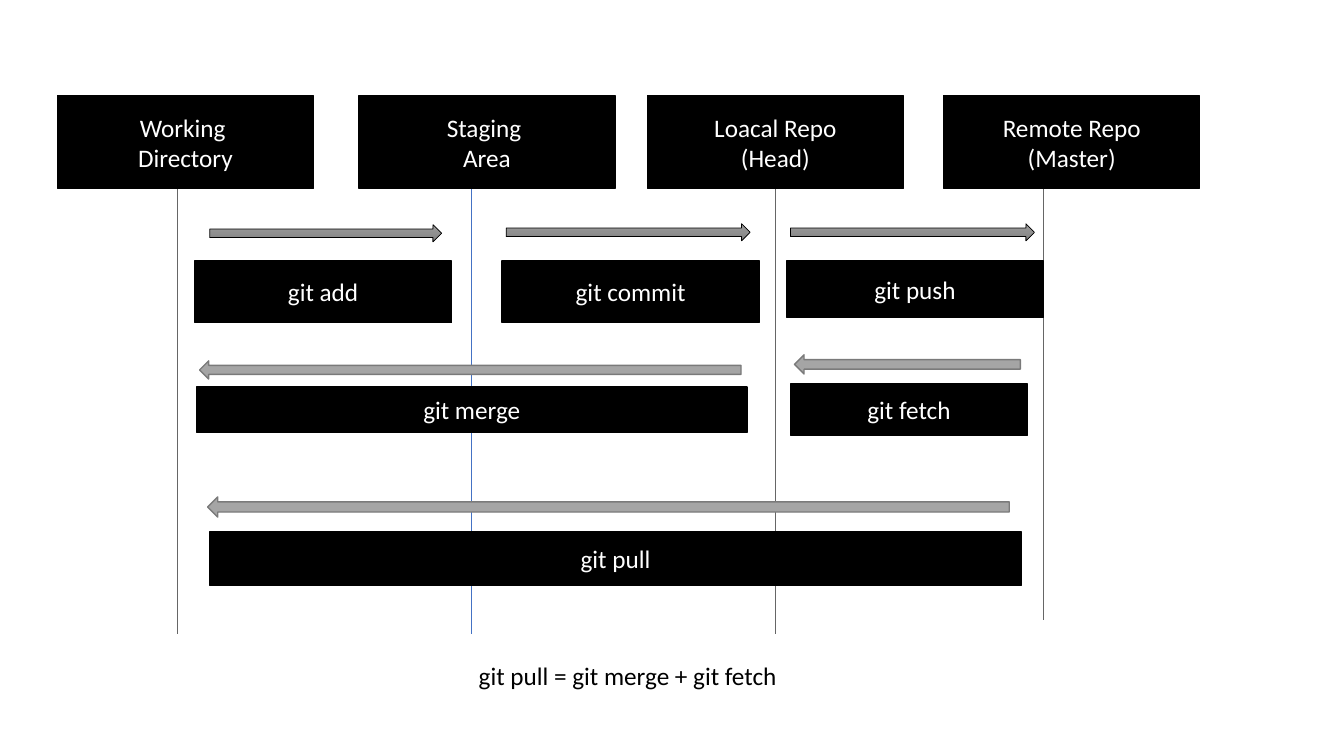
from copy import deepcopy
from dataclasses import dataclass

from lxml.etree import SubElement
from pptx import Presentation
from pptx.dml.color import RGBColor
from pptx.enum.shapes import MSO_CONNECTOR as Connector, MSO_SHAPE as Preset
from pptx.enum.text import MSO_ANCHOR as Anchor, MSO_AUTO_SIZE as AutoSize, PP_ALIGN as Align
from pptx.oxml.ns import qn
from pptx.util import Inches, Pt


@dataclass(frozen=True)
class Theme:
    """Colours, font and sizes of the slide."""
    black: str = "000000"
    white: str = "FFFFFF"
    blue: str = "4472C4"
    line_gray: str = "666666"
    arrow_gray: str = "A5A5A5"
    arrow_edge: str = "7A7A7A"
    gradient: tuple[str, ...] = ("9D9D9D", "909090", "7C7C7C")
    font: str = "Calibri"
    text_size: float = 18
    thin: float = 0.5
    thick: float = 1


@dataclass(frozen=True)
class Lifeline:
    """Vertical line below a stage."""
    x: float
    top: float
    color: str


@dataclass(frozen=True)
class Area:
    """Position and size in inches."""
    left: float
    top: float
    width: float
    height: float

    def lengths(self) -> list[Inches]:
        """Return the four values as lengths."""
        return [Inches(v) for v in (self.left, self.top, self.width, self.height)]


@dataclass(frozen=True)
class Block:
    """Black box with one paragraph per line of text."""
    text: str
    area: Area
    preset: Preset = Preset.FLOWCHART_PROCESS


@dataclass(frozen=True)
class Arrow:
    """Block arrow showing where a command moves the changes."""
    area: Area
    forward: bool


THEME = Theme()
LIFELINE_LENGTH = 4.42
STAGE_TOP, STAGE_WIDTH, STAGE_HEIGHT = 0.95, 2.54, 0.92

LIFELINES = [
    Lifeline(1.76, 1.87, THEME.line_gray),
    Lifeline(7.69, 1.87, THEME.line_gray),
    Lifeline(10.35, 1.73, THEME.line_gray),
    Lifeline(4.68, 1.87, THEME.blue),
]
STAGES = [
    Block(text, Area(left, STAGE_TOP, STAGE_WIDTH, STAGE_HEIGHT), Preset.RECTANGLE)
    for text, left in [
        ("Working \nDirectory", 0.57),
        ("Staging \nArea", 3.56),
        ("Remote Repo\n(Master)", 9.36),
        ("Loacal Repo\n(Head)", 6.42),
    ]
]
COMMANDS = [
    Block("git add", Area(1.93, 2.59, 2.55, 0.61)),
    Block("git commit", Area(4.98, 2.59, 2.55, 0.61)),
    Block("git push", Area(7.8, 2.59, 2.55, 0.56)),
    Block("git fetch", Area(7.84, 3.81, 2.35, 0.51)),
    Block("git merge", Area(1.95, 3.84, 5.46, 0.45)),
    Block("git pull", Area(2.08, 5.28, 8.05, 0.53)),
]
ARROWS = [
    Arrow(Area(2.08, 2.23, 2.3, 0.17), True),
    Arrow(Area(5.02, 2.22, 2.42, 0.17), True),
    Arrow(Area(7.84, 2.22, 2.42, 0.17), True),
    Arrow(Area(7.88, 3.52, 2.24, 0.19), False),
    Arrow(Area(1.98, 3.58, 5.37, 0.18), False),
    Arrow(Area(2.06, 4.93, 7.95, 0.2), False),
]


def rgb(color: str) -> RGBColor:
    """Convert a hex string to a colour."""
    return RGBColor.from_string(color)


def set_line(line, color: str, width: float) -> None:
    """Set the colour and width of a line."""
    line.color.rgb = rgb(color)
    line.width = Pt(width)


def write(box, text: str, color: str, align: Align) -> None:
    """Fill a box with one paragraph per line of text."""
    box.text_frame.text = text
    formats = {"name": THEME.font, "size": Pt(THEME.text_size)}
    for para in box.text_frame.paragraphs:
        para.alignment = align
        for span in para.runs:
            for name, value in formats.items():
                setattr(span.font, name, value)
            span.font.color.rgb = rgb(color)


def draw_lifeline(page, lifeline: Lifeline) -> None:
    """Draw a vertical line without a shadow."""
    x, top = Inches(lifeline.x), Inches(lifeline.top)
    line = page.shapes.add_connector(
        Connector.STRAIGHT, x, top, x, top + Inches(LIFELINE_LENGTH))
    set_line(line.line, lifeline.color, THEME.thin)
    SubElement(line.element.spPr, qn("a:effectLst"))


def draw_block(page, block: Block) -> None:
    """Draw a black box with centred white text."""
    box = page.shapes.add_shape(block.preset, *block.area.lengths())
    box.shadow.inherit = False
    box.fill.solid()
    box.fill.fore_color.rgb = rgb(THEME.black)
    set_line(box.line, THEME.black, THEME.thick)
    box.text_frame.vertical_anchor = Anchor.MIDDLE
    box.text_frame.word_wrap = True
    write(box, block.text, THEME.white, Align.CENTER)


def fill_gradient(shape) -> None:
    """Fill a shape with the three-stop gradient, running downwards."""
    shape.fill.gradient()
    shape.fill.gradient_angle = 270
    stops = shape.element.spPr.find(qn("a:gradFill")).find(qn("a:gsLst"))
    stops.insert(1, deepcopy(stops[0]))
    for stop, color, position in zip(shape.fill.gradient_stops, THEME.gradient, (0, 0.5, 1)):
        stop.color.rgb = rgb(color)
        stop.position = position


def draw_arrow(page, arrow: Arrow) -> None:
    """Draw a gradient arrow forward or a plain grey arrow back."""
    preset = Preset.RIGHT_ARROW if arrow.forward else Preset.LEFT_ARROW
    shape = page.shapes.add_shape(preset, *arrow.area.lengths())
    shape.shadow.inherit = False
    if arrow.forward:
        fill_gradient(shape)
        set_line(shape.line, THEME.black, THEME.thin)
    else:
        shape.fill.solid()
        shape.fill.fore_color.rgb = rgb(THEME.arrow_gray)
        set_line(shape.line, THEME.arrow_edge, THEME.thick)


def draw_summary(page) -> None:
    """Write the summary below the diagram."""
    box = page.shapes.add_textbox(*Area(4.65, 6.5, 3.16, 0.4).lengths())
    box.text_frame.word_wrap = False
    box.text_frame.auto_size = AutoSize.SHAPE_TO_FIT_TEXT
    write(box, "git pull = git merge + git fetch", THEME.black, Align.LEFT)


deck = Presentation()
deck.slide_width, deck.slide_height = Inches(13.33), Inches(7.5)
page = deck.slides.add_slide(deck.slide_layouts[6])
for lifeline in LIFELINES:
    draw_lifeline(page, lifeline)
for block in STAGES + COMMANDS:
    draw_block(page, block)
for arrow in ARROWS:
    draw_arrow(page, arrow)
draw_summary(page)
deck.save("out.pptx")
